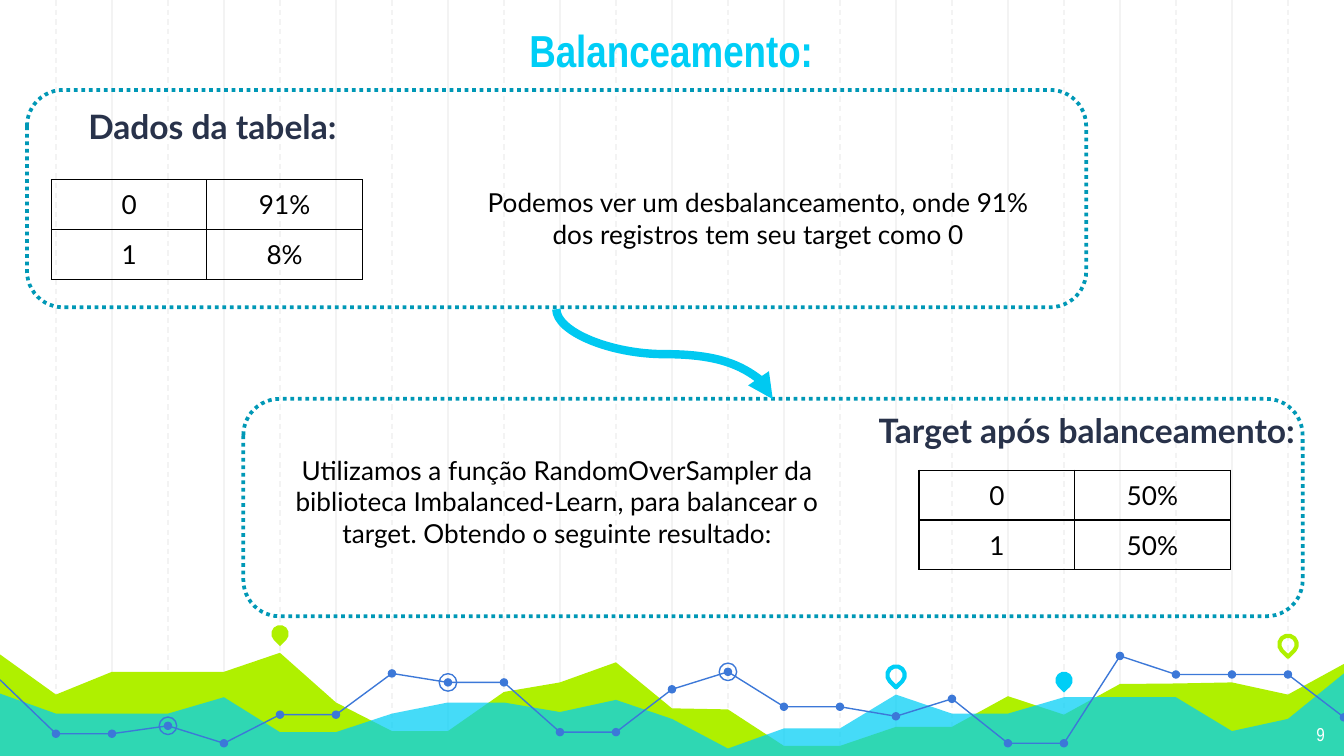
from lxml.etree import SubElement
from pptx import Presentation
from pptx.dml.color import RGBColor
from pptx.enum.dml import MSO_LINE
from pptx.enum.shapes import MSO_CONNECTOR, MSO_SHAPE
from pptx.enum.text import MSO_ANCHOR, MSO_AUTO_SIZE, PP_ALIGN
from pptx.oxml import parse_xml
from pptx.oxml.ns import nsdecls, qn
from pptx.util import Cm, Pt

COLORS = {
    "cyan": "00CEF6", "arrow": "00C9F1", "lime": "AFF000", "blue": "3C78D8",
    "teal": "0098B6", "navy": "28324A", "grid": "F3F3F3",
    "black": "000000", "white": "FFFFFF",
}
FONTS = {
    "title": {"name": "Arial Narrow", "size": Pt(24), "bold": True, "color": "cyan"},
    "number": {"name": "Arial Narrow", "size": Pt(10), "bold": False, "color": "white"},
    "heading": {"name": "Lato", "size": Pt(18), "bold": True, "color": "navy"},
    "text": {"name": "Lato", "size": Pt(14), "bold": False, "color": "black"},
}
HEADING = {"line_spacing": 1.5, "space_before": Pt(6)}
WIDTH, HEIGHT = 25.4, 14.29
COLUMNS = 24
STEP = WIDTH / COLUMNS

# Heights of the footer graph in cm, one for each grid column
LIME_AREA = [12.37, 13.13, 12.7, 12.7, 12.7, 12.34, 13.28, 13.82, 13.82, 13.08, 12.9, 12.52, 13.39,
             13.41, 14.1, 14.1, 13.74, 13.74, 13.16, 13.51, 12.93, 12.92, 12.9, 13.13, 12.55]
CYAN_AREA = [13.11, 13.49, 13.49, 13.49, 13.18, 13.84, 13.84, 13.49, 13.28, 13.28, 13.46, 13.23, 13.59,
             14.15, 13.77, 13.77, 13.13, 13.49, 13.49, 13.18, 13.18, 13.18, 13.82, 13.59, 12.73]
BLUE_LINE = [12.85, 13.87, 13.87, 13.72, 14.05, 13.51, 13.51, 12.73, 12.9, 12.9, 13.84, 13.84, 13.03,
             12.7, 13.36, 13.36, 13.54, 13.21, 14.05, 14.05, 12.4, 12.75, 12.75, 12.75, 13.56]


def rgb(name):
    return RGBColor.from_string(COLORS[name])


def on_grid(heights):
    return [(i * STEP, y) for i, y in enumerate(heights)]


class SlideBuilder:
    def __init__(self, prs):
        self.s = prs.slides.add_slide(prs.slide_layouts[1])
        self.shapes = self.s.shapes

    def paint(self, sp, fill=None, line=None, width=0.75, dash=None):
        sp.shadow.inherit = False
        if fill:
            sp.fill.solid()
            sp.fill.fore_color.rgb = rgb(fill)
        else:
            sp.fill.background()
        if line:
            self.stroke(sp, line, width, dash)
        else:
            sp.line.fill.background()
        return sp

    def stroke(self, sp, color, width, dash=None):
        sp.line.color.rgb = rgb(color)
        sp.line.width = Pt(width)
        if dash:
            sp.line.dash_style = dash

    def shape(self, kind, x, y, w, h, **look):
        return self.paint(self.shapes.add_shape(kind, Cm(x), Cm(y), Cm(w), Cm(h)), **look)

    def centered(self, kind, x, y, size, **look):
        return self.shape(kind, x - size / 2, y - size / 2, size, size, **look)

    def pin(self, column, y, **look):
        self.centered(MSO_SHAPE.TEAR, column * STEP, y, 0.33, **look).rotation = 135

    def freeform(self, points, close=False, **look):
        pts = [(Cm(x), Cm(y)) for x, y in points]
        builder = self.shapes.build_freeform(*pts[0], scale=1.0)
        builder.add_line_segments(pts[1:], close=close)
        return self.paint(builder.convert_to_shape(), **look)

    def area(self, heights, color):
        points = on_grid(heights) + [(WIDTH, HEIGHT), (0, HEIGHT)]
        return self.freeform(points, close=True, fill=color)

    def connector(self, kind, x1, y1, x2, y2, color, width, dash=None):
        cx = self.shapes.add_connector(kind, Cm(x1), Cm(y1), Cm(x2), Cm(y2))
        self.stroke(cx, color, width, dash)
        SubElement(cx.element.spPr, qn("a:effectLst"))
        return cx

    def paragraph(self, tf, text, font, align=PP_ALIGN.CENTER, **spacing):
        p = tf.paragraphs[0]
        for key, value in {"alignment": align, **spacing}.items():
            setattr(p, key, value)
        r = p.add_run()
        r.text = text
        for key, value in FONTS[font].items():
            if key == "color":
                r.font.color.rgb = rgb(value)
            else:
                setattr(r.font, key, value)
        return p

    def text(self, text, box, font, sp=None, inset=0.13, anchor=MSO_ANCHOR.TOP, **para):
        """Fill the placeholder sp, or a new text box."""
        x, y, w, h = (Cm(v) for v in box)
        if sp is None:
            sp = self.shapes.add_textbox(x, y, w, h)
        else:
            self.shapes.element.append(sp.element)  # bring to front
            sp.left, sp.top, sp.width, sp.height = x, y, w, h
        frame = {"word_wrap": True, "auto_size": MSO_AUTO_SIZE.NONE, "vertical_anchor": anchor,
                 "margin_left": Cm(0.25), "margin_right": Cm(0.25),
                 "margin_top": Cm(inset), "margin_bottom": Cm(inset)}
        for key, value in frame.items():
            setattr(sp.text_frame, key, value)
        return self.paragraph(sp.text_frame, text, font, **para)

    def table(self, x, y, rows, col_w=2.94, row_h=0.94):
        n = len(rows[0])
        tbl = self.shapes.add_table(len(rows), n, Cm(x), Cm(y),
                                    Cm(col_w * n), Cm(row_h * len(rows))).table
        tbl.first_row = tbl.horz_banding = False
        for col in tbl.columns:
            col.width = Cm(col_w)
        for i, row in enumerate(rows):
            tbl.rows[i].height = Cm(row_h)
            for j, value in enumerate(row):
                cell = tbl.cell(i, j)
                cell.vertical_anchor = MSO_ANCHOR.MIDDLE
                cell.fill.background()
                self.paragraph(cell.text_frame, value, "text")
                self.borders(cell)

    def borders(self, cell):
        tcPr = cell._tc.get_or_add_tcPr()
        for i, side in enumerate("LRTB"):
            tcPr.insert(i, parse_xml(
                f'<a:ln{side} {nsdecls("a")} w="{Pt(0.75)}"><a:solidFill>'
                f'<a:srgbClr val="{COLORS["black"]}"/></a:solidFill></a:ln{side}>'))


def draw_background(b):
    for first, dash in ((2, None), (1, MSO_LINE.DASH)):
        for column in range(first, COLUMNS, 2):
            x = column * STEP
            b.connector(MSO_CONNECTOR.STRAIGHT, x, 0, x, HEIGHT, "grid", 0.75, dash)
    b.area(LIME_AREA, "lime")
    cyan = b.area(CYAN_AREA, "cyan")
    color = cyan.element.spPr.find(qn("a:solidFill"))[0]
    SubElement(color, qn("a:alpha"), val="73000")

    b.pin(5, 11.98, fill="lime")
    b.pin(16, 12.76, line="cyan", width=2.25)
    b.pin(19, 12.86, fill="cyan")
    b.pin(23, 12.18, line="lime", width=2.25)

    nodes = on_grid(BLUE_LINE)
    for start, end in ((0, 11), (11, 20), (20, 24)):
        b.freeform(nodes[start:end + 1], line="blue")
    for x, y in nodes[1:]:
        b.centered(MSO_SHAPE.OVAL, x, y, 0.16, fill="blue")
    for column in (3, 8, 13):
        b.centered(MSO_SHAPE.OVAL, *nodes[column], 0.33, line="blue")


def draw_content(b):
    title, body = b.shapes.title, b.s.placeholders[1]
    b.text("Balanceamento:", (2.97, 0.43, 19.43, 1.27), "title", sp=title,
           inset=0.25, anchor=MSO_ANCHOR.BOTTOM)
    b.text("9", (23.77, 13.41, 1.52, 0.89), "number", inset=0.25, align=PP_ALIGN.RIGHT)

    p = b.text("Dados da tabela:", (-0.71, 1.37, 9.45, 1.6), "heading", sp=body,
               inset=0.25, **HEADING)
    pPr = p._p.get_or_add_pPr()
    for key in ("marL", "indent"):
        pPr.set(key, "0")
    SubElement(pPr, qn("a:buNone"))
    b.text("Podemos ver um desbalanceamento, onde 91% dos registros tem seu target como 0",
           (8.74, 3.4, 11.18, 1.45), "text")
    b.table(0.97, 3.4, [["0", "91%"], ["1", "8%"]])

    b.text("Utilizamos a função RandomOverSampler da biblioteca Imbalanced-Learn, "
           "para balancear o target. Obtendo o seguinte resultado:",
           (4.65, 8.46, 11.76, 2.06), "text")
    for x, y in ((0.51, 1.7), (4.6, 7.54)):
        b.shape(MSO_SHAPE.ROUNDED_RECTANGLE, x, y, 20.02, 4.11,
                line="teal", width=2, dash=MSO_LINE.ROUND_DOT)
    b.table(17.37, 8.89, [["0", "50%"], ["1", "50%"]])
    b.text("Target após balanceamento:", (16.21, 7.11, 8.66, 1.6), "heading",
           inset=0.25, **HEADING)

    # Turned by 270 degrees so that the curve leaves and arrives vertically
    curve = b.connector(MSO_CONNECTOR.CURVE, 13.41, 4.65, 11.71, 8.74, "arrow", 4.5)
    curve.element.spPr.find(qn("a:xfrm")).set("rot", str(270 * 60000))
    SubElement(curve.element.spPr.find(qn("a:ln")), qn("a:tailEnd"), type="triangle")


def main():
    prs = Presentation()
    prs.slide_width, prs.slide_height = Cm(WIDTH), Cm(HEIGHT)
    b = SlideBuilder(prs)
    draw_background(b)
    draw_content(b)
    prs.save("out.pptx")


if __name__ == "__main__":
    main()
